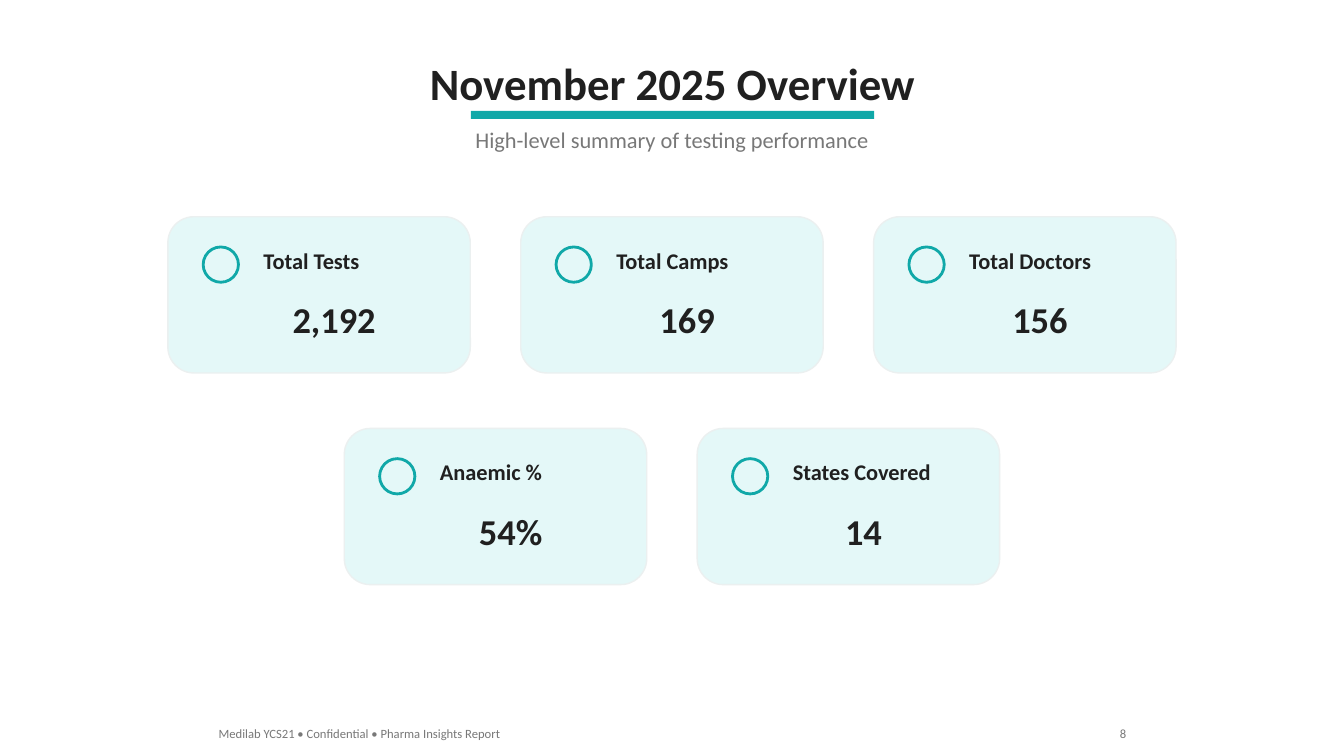
from dataclasses import dataclass

from pptx import Presentation
from pptx import util as u
from pptx.dml.color import RGBColor
from pptx.enum import shapes, text

TEAL = RGBColor(0x10, 0xA8, 0xA8)
CARD_FILL = RGBColor(0xE4, 0xF8, 0xF8)
CARD_EDGE = RGBColor(0xEB, 0xF0, 0xF0)
INK = RGBColor(0x20, 0x20, 0x20)
GREY = RGBColor(0x78, 0x78, 0x78)

SLIDE_W, SLIDE_H = 13.33, 7.5
CARD_W, CARD_H, CARD_GAP = 3, 1.55, 0.5
FIRST_ROW_TOP, ROW_STEP = 2.15, 2.1

LEFT, CENTER, RIGHT = text.PP_ALIGN.LEFT, text.PP_ALIGN.CENTER, text.PP_ALIGN.RIGHT
SHAPE = shapes.MSO_SHAPE

TITLE = {"size": u.Pt(32), "bold": True, "color": INK}
SUBTITLE = {"size": u.Pt(16), "color": GREY}
LABEL = {"size": u.Pt(16), "bold": True, "color": INK}
VALUE = {"size": u.Pt(26), "bold": True, "color": INK}
FOOTER = {"size": u.Pt(9), "color": GREY}


@dataclass
class Metric:
    label: str
    label_width: float
    value: str
    value_width: float


METRIC_ROWS = [
    [
        Metric("Total Tests", 1.16, "2,192", 1.03),
        Metric("Total Camps", 1.33, "169", 0.75),
        Metric("Total Doctors", 1.43, "156", 0.75),
    ],
    [
        Metric("Anaemic %", 1.23, "54%", 0.84),
        Metric("States Covered", 1.59, "14", 0.57),
    ],
]


def add_text(slide, words: str, left: float, top: float, width: float, height: float,
             style: dict, align=LEFT) -> None:
    frame = slide.shapes.add_textbox(
        u.Inches(left), u.Inches(top), u.Inches(width), u.Inches(height)).text_frame
    frame.word_wrap = False
    frame.auto_size = text.MSO_AUTO_SIZE.SHAPE_TO_FIT_TEXT
    paragraph = frame.paragraphs[0]
    paragraph.alignment = align
    run = paragraph.add_run()
    run.text = words
    for name, setting in {"name": "Calibri", **style}.items():
        if name == "color":
            run.font.color.rgb = setting
        else:
            setattr(run.font, name, setting)


def add_figure(slide, preset, left: float, top: float, width: float, height: float,
               fill: RGBColor | None = None, edge: RGBColor | None = None,
               edge_width: float = 1) -> None:
    figure = slide.shapes.add_shape(
        preset, u.Inches(left), u.Inches(top), u.Inches(width), u.Inches(height))
    figure.shadow.inherit = False
    if fill is None:
        figure.fill.background()
    else:
        figure.fill.solid()
        figure.fill.fore_color.rgb = fill
    if edge is None:
        figure.line.fill.background()
    else:
        figure.line.color.rgb = edge
        figure.line.width = u.Pt(edge_width)


def add_metric_card(slide, metric: Metric, left: float, top: float) -> None:
    add_figure(slide, SHAPE.ROUNDED_RECTANGLE, left, top, CARD_W, CARD_H, CARD_FILL, CARD_EDGE)
    add_figure(slide, SHAPE.OVAL, left + 0.35, top + 0.3, 0.35, 0.35, edge=TEAL, edge_width=2)
    add_text(slide, metric.label, left + 0.85, top + 0.25, metric.label_width, 0.37, LABEL)
    value_left = left + 1.65 - metric.value_width / 2
    add_text(slide, metric.value, value_left, top + 0.75, metric.value_width, 0.54, VALUE, CENTER)


def main() -> None:
    deck = Presentation()
    deck.slide_width, deck.slide_height = u.Inches(SLIDE_W), u.Inches(SLIDE_H)
    slide = deck.slides.add_slide(deck.slide_layouts[6])

    # Heading
    add_figure(slide, SHAPE.RECTANGLE, 4.67, 1.1, 4, 0.08, TEAL)
    add_text(slide, "High-level summary of testing performance",
             4.59, 1.2, 4.15, 0.37, SUBTITLE, CENTER)
    add_text(slide, "November 2025 Overview", 4.14, 0.5, 5.06, 0.64, TITLE, CENTER)

    # Metric cards, each row centred on the slide
    for row, metrics in enumerate(METRIC_ROWS):
        row_width = len(metrics) * (CARD_W + CARD_GAP) - CARD_GAP
        row_left = (SLIDE_W - row_width) / 2
        for column, metric in enumerate(metrics):
            add_metric_card(slide, metric, row_left + column * (CARD_W + CARD_GAP),
                            FIRST_ROW_TOP + row * ROW_STEP)

    # Footer
    add_text(slide, "Medilab YCS21 • Confidential • Pharma Insights Report",
             2.07, 7.15, 3.05, 0.25, FOOTER)
    add_text(slide, "8", 11, 7.15, 0.27, 0.25, FOOTER, RIGHT)

    deck.save("out.pptx")


if __name__ == "__main__":
    main()
